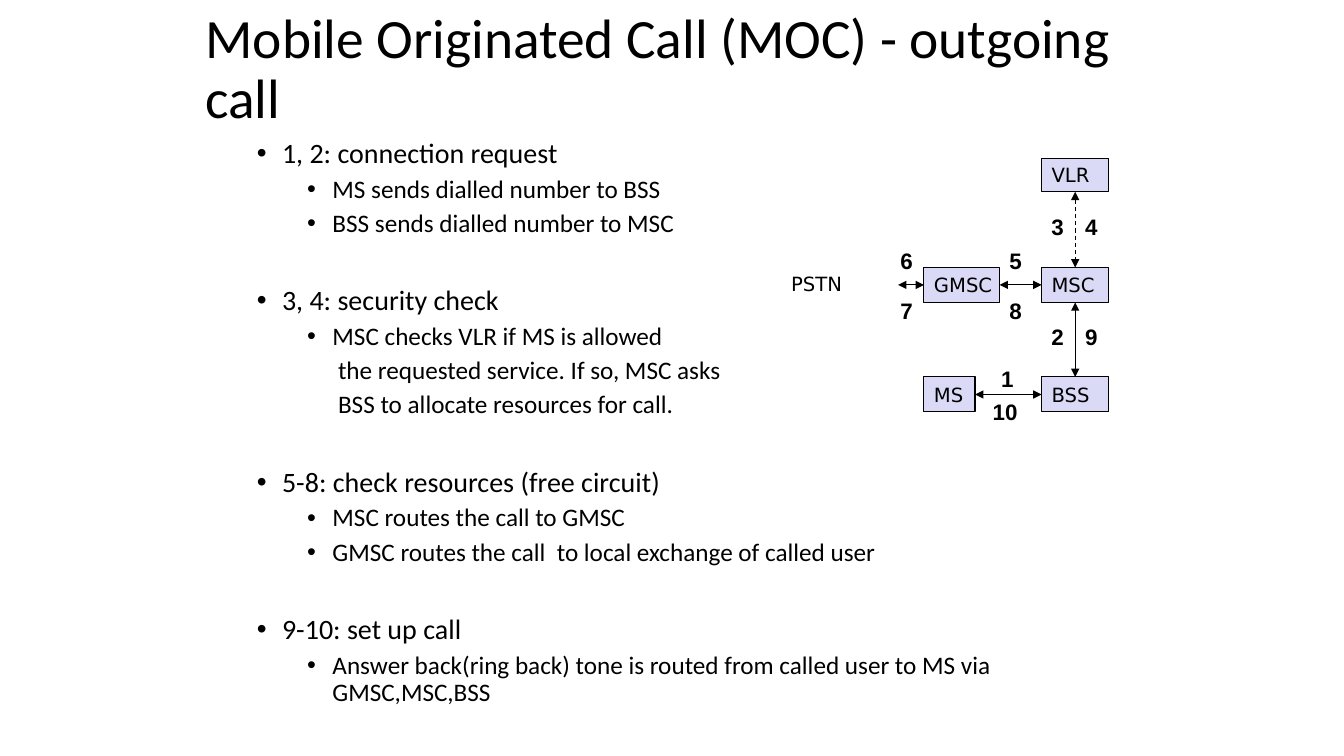
from dataclasses import dataclass

from lxml import etree
from pptx import Presentation
from pptx.dml.color import RGBColor
from pptx.enum.dml import MSO_LINE
from pptx.enum.shapes import MSO_CONNECTOR, MSO_SHAPE
from pptx.enum.text import MSO_ANCHOR, MSO_AUTO_SIZE, PP_ALIGN
from pptx.oxml.ns import qn
from pptx.util import Pt

RECT = MSO_SHAPE.RECTANGLE
STRAIGHT = MSO_CONNECTOR.STRAIGHT
DASH = MSO_LINE.DASH
TOP, MIDDLE = MSO_ANCHOR.TOP, MSO_ANCHOR.MIDDLE
FIT_SHAPE = MSO_AUTO_SIZE.SHAPE_TO_FIT_TEXT
NO_FIT = MSO_AUTO_SIZE.NONE
LEFT_ALIGN = PP_ALIGN.LEFT
NORTH, WEST, SOUTH, EAST = range(4)


@dataclass(frozen=True)
class Theme:
    ink: RGBColor = RGBColor(0x00, 0x00, 0x00)
    node: RGBColor = RGBColor(0xDA, 0xDA, 0xF6)
    text_font: str = "Calibri"
    node_font: str = "DejaVu Sans"
    step_font: str = "Arial"
    title: float = 39.6
    heading: float = 20
    item: float = 18
    node_size: float = 14
    step: float = 16
    line: float = 0.75


THEME = Theme()
TITLE = {"name": THEME.text_font, "size": Pt(THEME.title)}
NODE = {"name": THEME.node_font, "size": Pt(THEME.node_size)}
STEP = {"name": THEME.step_font, "size": Pt(THEME.step), "bold": True}

HEADING, ITEM, MORE = "heading", "item", "more"
LEVELS = {
    HEADING: dict(level=0, margin=18, indent=-18, before=34.8, size=THEME.heading),
    ITEM: dict(level=1, margin=54, indent=-18, before=5, size=THEME.item),
    MORE: dict(level=1, margin=58, indent=0, before=5, size=THEME.item),
}
BODY = [
    (HEADING, "1, 2: connection request"),
    (ITEM, "MS sends dialled number to BSS"),
    (ITEM, "BSS sends dialled number to MSC"),
    (HEADING, "3, 4: security check"),
    (ITEM, "MSC checks VLR if MS is allowed"),
    (MORE, "the requested service. If so, MSC asks"),
    (MORE, "BSS to allocate resources for call."),
    (HEADING, "5-8: check resources (free circuit)"),
    (ITEM, "MSC routes the call to GMSC"),
    (ITEM, "GMSC routes the call  to local exchange of called user"),
    (HEADING, "9-10: set up call"),
    (ITEM, "Answer back(ring back) tone is routed from called user to MS via GMSC,MSC,BSS"),
]

LEFT_COL, RIGHT_COL = 660, 744
ROWS = [113, 191, 269.3]
NODES = {
    "GMSC": (LEFT_COL, ROWS[1], 54, 25),
    "VLR": (RIGHT_COL, ROWS[0], 48, 24),
    "BSS": (RIGHT_COL, ROWS[2], 48, 25),
    "MSC": (RIGHT_COL, ROWS[1], 48, 25),
    "MS": (LEFT_COL, ROWS[2], 36.5, 25),
}
LINKS = [
    ("MSC", SOUTH, "BSS", NORTH, None),
    ("VLR", SOUTH, "MSC", NORTH, DASH),
    ("GMSC", EAST, "MSC", WEST, None),
    ("MS", EAST, "BSS", WEST, None),
]
STEPS = {
    "1": (708, 257), "2": (744, 227), "3": (744, 149), "4": (768, 149),
    "5": (714, 173), "6": (636, 173), "7": (636, 209), "8": (714, 209),
    "9": (768, 227), "10": (702, 281),
}


def set_attrs(target, values):
    for name, value in values.items():
        setattr(target, name, value)


def write(p, text, font):
    r = p.add_run()
    r.text = text
    set_attrs(r.font, font)
    r.font.color.rgb = THEME.ink


def add_text(s, box, text, font, spacing=None, **frame):
    sp = s.shapes.add_textbox(*map(Pt, box))
    tf = sp.text_frame
    set_attrs(tf, {"word_wrap": True, "vertical_anchor": TOP, **frame})
    p = tf.paragraphs[0]
    p.line_spacing = spacing
    write(p, text, font)


def add_body(s, box, lines):
    tf = s.shapes.add_textbox(*map(Pt, box)).text_frame
    set_attrs(tf, {"word_wrap": True, "auto_size": NO_FIT})
    for i, (kind, text) in enumerate(lines):
        look = LEVELS[kind]
        p = tf.add_paragraph() if i else tf.paragraphs[0]
        set_attrs(p, {"level": look["level"], "line_spacing": 0.9,
                      "space_before": Pt(look["before"] if i else 0)})
        pPr = p._p.get_or_add_pPr()
        pPr.set("marL", str(Pt(look["margin"])))
        pPr.set("indent", str(Pt(look["indent"])))
        if kind == MORE:
            etree.SubElement(pPr, qn("a:buNone"))
        else:
            etree.SubElement(pPr, qn("a:buFont"), typeface="Arial")
            etree.SubElement(pPr, qn("a:buChar"), char="•")
        write(p, text, {"name": THEME.text_font, "size": Pt(look["size"])})


def add_node(s, name, box):
    sp = s.shapes.add_shape(RECT, *map(Pt, box))
    sp.shadow.inherit = False
    sp.fill.solid()
    sp.fill.fore_color.rgb = THEME.node
    sp.line.color.rgb = THEME.ink
    sp.line.width = Pt(THEME.line)
    tf = sp.text_frame
    set_attrs(tf, {"word_wrap": False, "vertical_anchor": MIDDLE})
    p = tf.paragraphs[0]
    p.alignment = LEFT_ALIGN
    write(p, name, NODE)
    return sp


def add_arrow(s, target, site, source=None, source_site=None, start=(0, 0), dash=None):
    x, y = map(Pt, start)
    link = s.shapes.add_connector(STRAIGHT, x, y, x, y)
    if source is not None:
        link.begin_connect(source, source_site)
    link.end_connect(target, site)
    link.line.color.rgb = THEME.ink
    link.line.width = Pt(THEME.line)
    if dash is not None:
        link.line.dash_style = dash
    spPr = link._element.spPr
    ln = spPr.find(qn("a:ln"))
    for end in ("a:headEnd", "a:tailEnd"):
        etree.SubElement(ln, qn(end), type="triangle")
    etree.SubElement(spPr, qn("a:effectLst"))


def main():
    prs = Presentation()
    prs.slide_width, prs.slide_height = Pt(960), Pt(540)
    s = prs.slides.add_slide(prs.slide_layouts[6])
    add_text(s, (139.7, 10.8, 700.5, 79.2),
             "Mobile Originated Call (MOC) - outgoing call", TITLE,
             spacing=0.9, vertical_anchor=MIDDLE)
    add_body(s, (176.4, 95.8, 607.7, 429), BODY)
    add_text(s, (558, 191, 52.6, 24.5), "PSTN", NODE, auto_size=FIT_SHAPE)

    nodes = {name: add_node(s, name, box) for name, box in NODES.items()}
    add_arrow(s, nodes["GMSC"], WEST, start=(641.5, ROWS[1] + 12.5))
    for source, source_site, target, site, dash in LINKS:
        add_arrow(s, nodes[target], site, nodes[source], source_site, dash=dash)
    for number, (x, y) in STEPS.items():
        width = 14.4 + 8.9 * len(number)
        add_text(s, (x, y, width, 26.6), number, STEP,
                 word_wrap=False, auto_size=FIT_SHAPE)
    prs.save("out.pptx")


if __name__ == "__main__":
    main()
